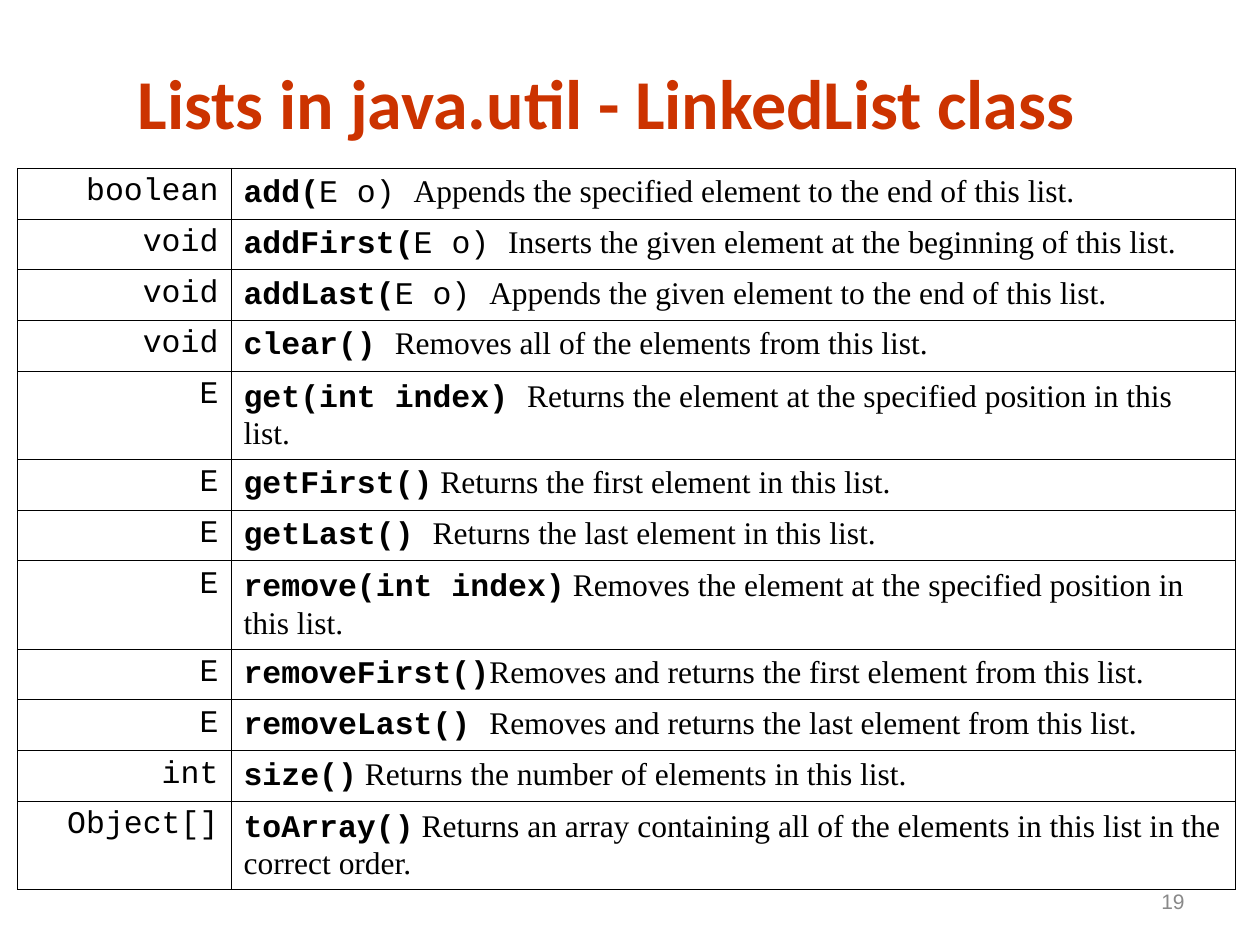
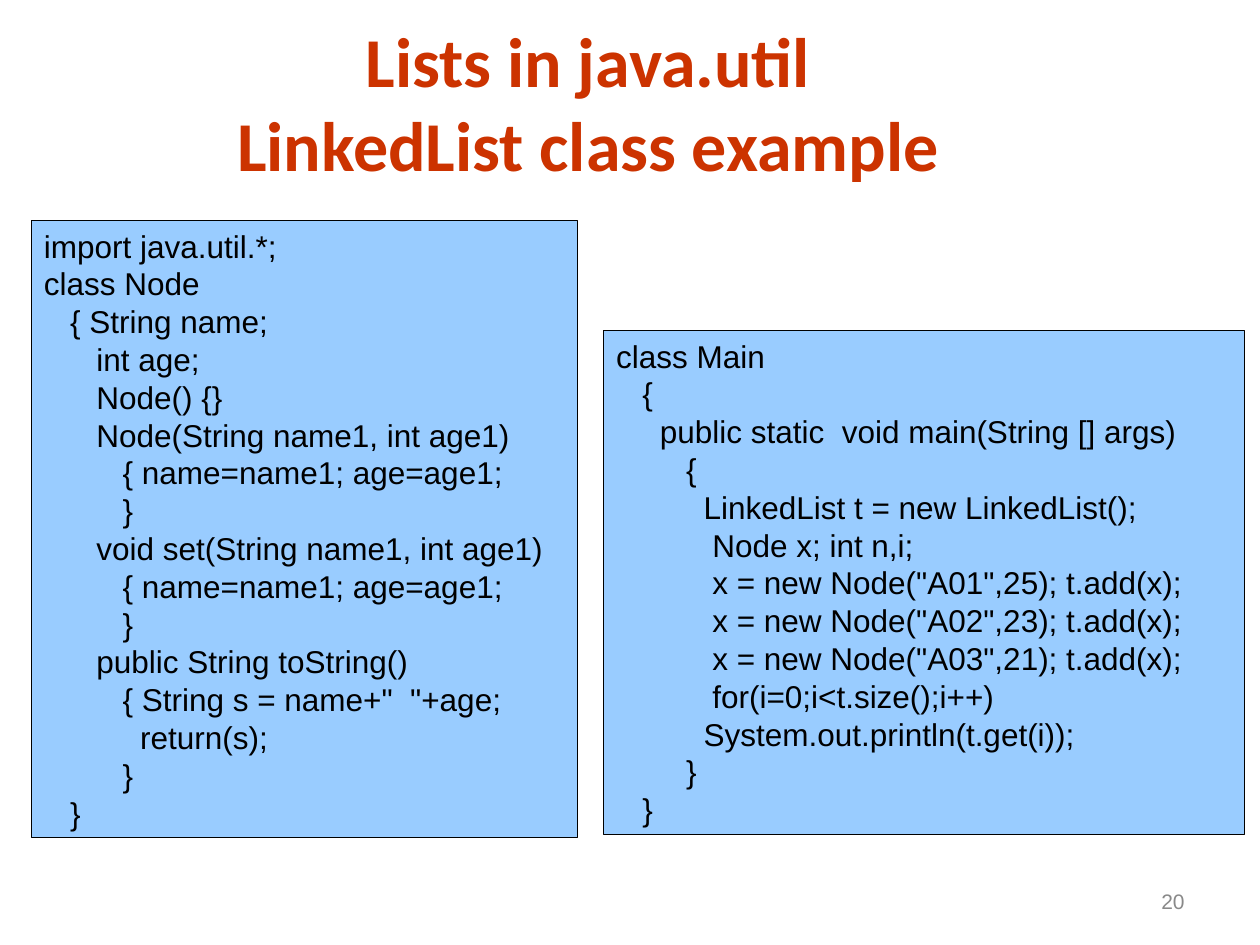
from pptx import Presentation
from pptx.dml.color import RGBColor
from pptx.enum import shapes, text
from pptx.oxml import parse_xml
from pptx.oxml.ns import nsdecls
from pptx.util import Pt

RED = RGBColor(0xCC, 0x33, 0x00)
BLUE = RGBColor(0x99, 0xCC, 0xFF)
BLACK = RGBColor(0, 0, 0)
WHITE = RGBColor(0xFF, 0xFF, 0xFF)
GREY = RGBColor(0x89, 0x89, 0x89)

TITLE_FONT, CODE_FONT, MONO, SERIF = "Calibri", "Arial", "Courier New", "Times New Roman"
BODY_SIZE = 18
SPACE_WIDTH = 5  # points taken by one space of the code font
ROW, TALL_ROW = 29, 50.4

# Return type, method name, parameters, description, row height
METHODS = [
    ("boolean", "add(", "E o) ", "Appends the specified element to the end of this list.", ROW),
    ("void", "addFirst(", "E o) ",
     "Inserts the given element at the beginning of this list.", ROW),
    ("void", "addLast(", "E o) ", "Appends the given element to the end of this list.", ROW),
    ("void", "clear() ", "", "Removes all of the elements from this list.", ROW),
    ("E", "get(int index) ", "",
     "Returns the element at the specified position in this list.", TALL_ROW),
    ("E", "getFirst()", "", " Returns the first element in this list.", ROW),
    ("E", "getLast() ", "", "Returns the last element in this list.", ROW),
    ("E", "remove(int index)", "",
     " Removes the element at the specified position in this list.", TALL_ROW),
    ("E", "removeFirst()", "", "Removes and returns the first element from this list.", ROW),
    ("E", "removeLast() ", "", "Removes and returns the last element from this list.", ROW),
    ("int", "size()", "", " Returns the number of elements in this list.", ROW),
    ("Object[]", "toArray()", "",
     " Returns an array containing all of the elements in this list in the correct order.",
     TALL_ROW),
]

NODE_CODE = """\
import java.util.*;
class Node
   { String name;
      int age;
      Node() {}
      Node(String name1, int age1)
         { name=name1; age=age1;
         }
      void set(String name1, int age1)
         { name=name1; age=age1;
         }
      public String toString()
         { String s = name+"  "+age;
           return(s);
         }
   }"""

MAIN_CODE = """\
class Main
   {
     public static  void main(String [] args)
        {
          LinkedList t = new LinkedList();
           Node x; int n,i;
           x = new Node("A01",25); t.add(x);
           x = new Node("A02",23); t.add(x);
           x = new Node("A03",21); t.add(x);
           for(i=0;i<t.size();i++)
          System.out.println(t.get(i));
        }
   }"""


def style(r, font, size, color, bold=False):
    r.font.name = font
    r.font.size = Pt(size)
    r.font.color.rgb = color
    r.font.bold = bold


def add_title_slide(prs, title, box, number):
    """Add a title-only slide with its heading and slide number."""
    s = prs.slides.add_slide(prs.slide_layouts[5])
    sp = s.shapes.title
    sp.left, sp.top, sp.width, sp.height = map(Pt, box)
    tf = sp.text_frame
    tf.text = title
    tf.auto_size = text.MSO_AUTO_SIZE.NONE
    tf.vertical_anchor = text.MSO_ANCHOR.MIDDLE
    p = tf.paragraphs[0]
    p.alignment = text.PP_ALIGN.CENTER
    for r in p.runs:
        style(r, TITLE_FONT, 40, RED, True)
    add_slide_number(s, number)
    return s


def add_slide_number(s, number):
    tf = s.shapes.add_textbox(Pt(516), Pt(500.4), Pt(168), Pt(28.8)).text_frame
    tf.word_wrap = True
    tf.vertical_anchor = text.MSO_ANCHOR.MIDDLE
    p = tf.paragraphs[0]
    p.text = str(number)
    p.alignment = text.PP_ALIGN.RIGHT
    style(p.runs[0], CODE_FONT, 12, GREY)


def format_cell(cell):
    """Give a cell a thin black outline and a white fill."""
    tcPr = cell._tc.get_or_add_tcPr()
    for side in ("lnL", "lnR", "lnT", "lnB"):
        tcPr.append(parse_xml(
            f'<a:{side} {nsdecls("a")} w="{Pt(0.34)}"><a:solidFill>'
            f'<a:srgbClr val="{BLACK}"/></a:solidFill></a:{side}>'))
    cell.fill.solid()
    cell.fill.fore_color.rgb = WHITE


def add_method_table(s, methods, left, top, widths):
    height = sum(m[-1] for m in methods)
    table = s.shapes.add_table(len(methods), len(widths), Pt(left), Pt(top),
                               Pt(sum(widths)), Pt(height)).table
    table.first_row = table.horz_banding = False
    for column, width in zip(table.columns, widths):
        column.width = Pt(width)
    for row, (kind, name, params, description, row_height) in zip(table.rows, methods):
        row.height = Pt(row_height)
        type_cell, method_cell = row.cells
        for cell in row.cells:
            format_cell(cell)
        p = type_cell.text_frame.paragraphs[0]
        p.text = kind
        p.alignment = text.PP_ALIGN.RIGHT
        style(p.runs[0], MONO, BODY_SIZE, BLACK)

        method_cell.vertical_anchor = text.MSO_ANCHOR.MIDDLE
        p = method_cell.text_frame.paragraphs[0]
        for words, font, bold in ((name, MONO, True), (params, MONO, False),
                                  (description, SERIF, False)):
            if words:
                r = p.add_run()
                r.text = words
                style(r, font, BODY_SIZE, BLACK, bold)


def add_code_box(s, code, left, top, width, height):
    """Draw a code panel, turning leading spaces into paragraph indents."""
    sp = s.shapes.add_shape(shapes.MSO_SHAPE.RECTANGLE,
                            Pt(left), Pt(top), Pt(width), Pt(height))
    sp.shadow.inherit = False
    sp.fill.solid()
    sp.fill.fore_color.rgb = BLUE
    sp.line.color.rgb = BLACK
    sp.line.width = Pt(0.75)
    tf = sp.text_frame
    tf.word_wrap = True
    tf.vertical_anchor = text.MSO_ANCHOR.TOP
    lines = code.splitlines()
    tf.text = "\n".join(line.lstrip() for line in lines)
    for p, line in zip(tf.paragraphs, lines):
        indent = len(line) - len(line.lstrip())
        p._p.get_or_add_pPr().set("marL", str(Pt(indent * SPACE_WIDTH)))
        p.alignment = text.PP_ALIGN.LEFT
        p.line_spacing = Pt(21.6)
        style(p.runs[0], CODE_FONT, BODY_SIZE, BLACK)


def main():
    prs = Presentation()
    prs.slide_width, prs.slide_height = Pt(720), Pt(540)

    s = add_title_slide(prs, "Lists in java.util - LinkedList class ",
                        (0, 30.2, 702, 55.4), 19)
    add_method_table(s, METHODS, 10, 96, (122, 574))

    s = add_title_slide(prs, "Lists in java.util\vLinkedList class example",
                        (36, 6, 600, 103.7), 20)
    add_code_box(s, NODE_CODE, 18, 126, 312, 352.8)
    add_code_box(s, MAIN_CODE, 345, 188.8, 366, 288)

    prs.save("out.pptx")


if __name__ == "__main__":
    main()
